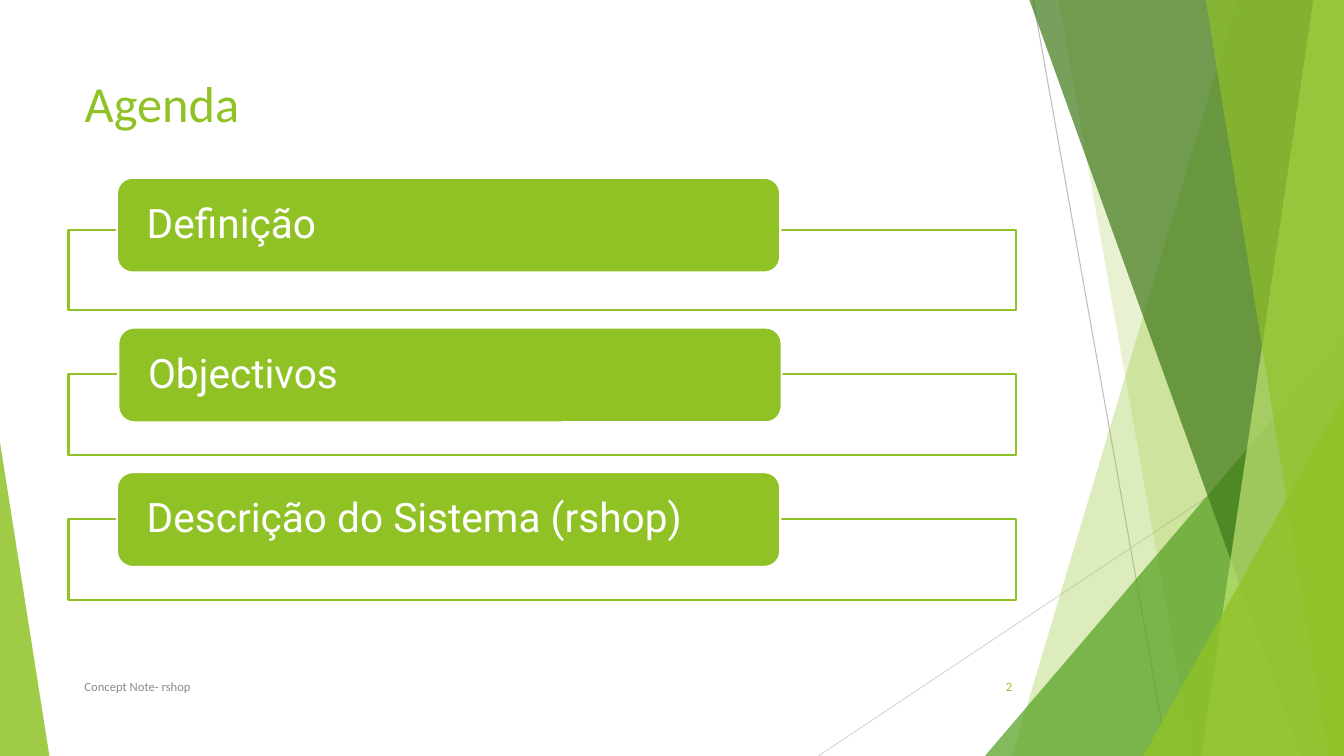
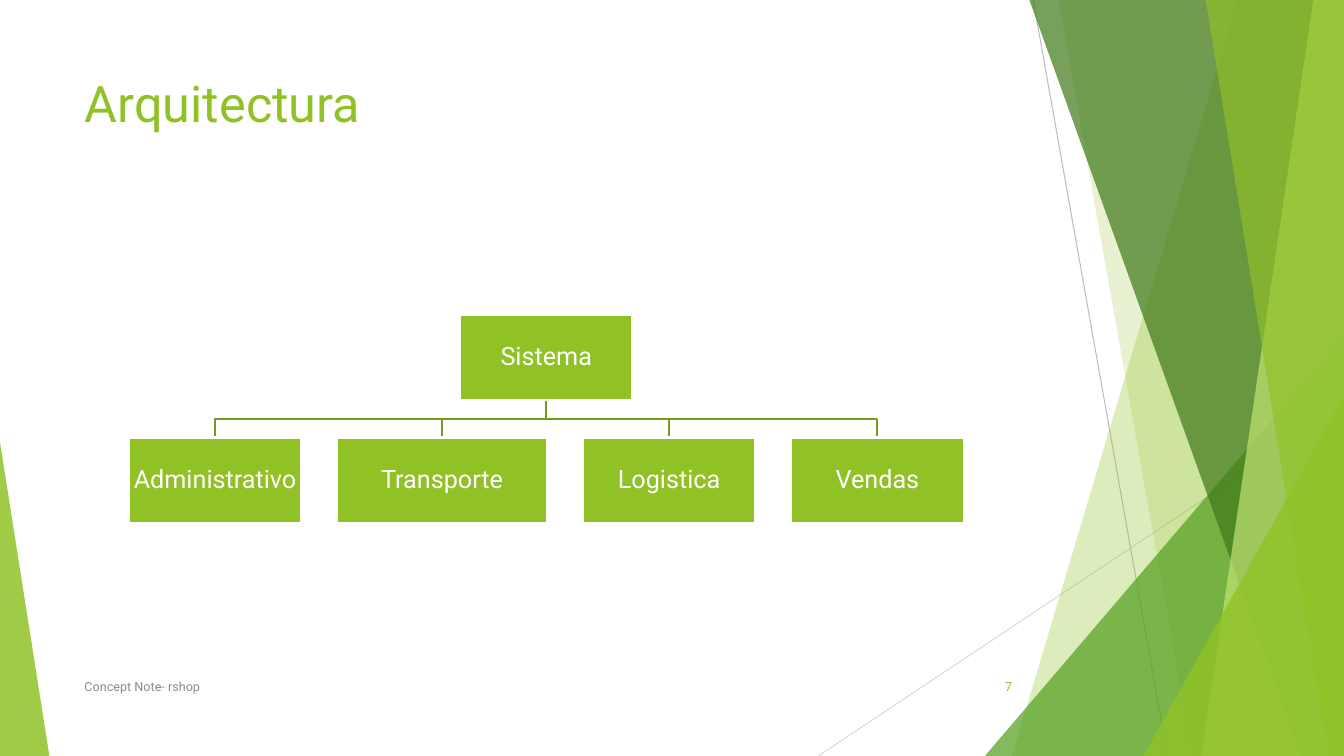
"""Build two slides: an agenda and a system architecture chart."""
from lxml import etree
from pptx import Presentation
from pptx.dml.color import RGBColor
from pptx.enum import shapes, text
from pptx.oxml import ns
from pptx.util import Pt

LIME = RGBColor(0x90, 0xC2, 0x26)
GREEN = RGBColor(0x54, 0xA0, 0x21)
DARK_GREEN = RGBColor(0x3F, 0x78, 0x19)
PALE_LIME = RGBColor(0xC0, 0xE4, 0x74)
OLIVE = RGBColor(0x73, 0x9B, 0x1E)
WHITE = RGBColor(0xFF, 0xFF, 0xFF)
GREY = RGBColor(0x8C, 0x8C, 0x8C)
MID_GREY = RGBColor(0xBF, 0xBF, 0xBF)
LIGHT_GREY = RGBColor(0xD9, 0xD9, 0xD9)

SLIDE_WIDTH, SLIDE_HEIGHT = 960, 540
MARGIN, CONTENT_WIDTH = 53.28, 676.8
BODY_FONT = "Roboto"
ALIGN = text.PP_ALIGN
SHAPE = shapes.MSO_SHAPE


def paint(shape, fill=None, opacity=100, line=None, width=1.5):
    """Set fill, opacity and outline of a shape, without shadow."""
    shape.shadow.inherit = False
    if fill is None:
        shape.fill.background()
    else:
        shape.fill.solid()
        shape.fill.fore_color.rgb = fill
        if opacity < 100:
            colour = shape.fill._xPr.find(".//" + ns.qn("a:srgbClr"))
            etree.SubElement(colour, ns.qn("a:alpha"), val=str(opacity * 1000))
    if line is None:
        shape.line.fill.background()
    else:
        shape.line.color.rgb = line
        shape.line.width = Pt(width)


def write(shape, words, size, colour, font, align=ALIGN.LEFT, spacing=None):
    """Put one formatted paragraph into a shape."""
    frame = shape.text_frame
    frame.text = words
    frame.word_wrap = True
    paragraph = frame.paragraphs[0]
    paragraph.alignment = align
    if spacing:
        paragraph.line_spacing = spacing
    style = paragraph.runs[0].font
    style.size, style.name, style.color.rgb = Pt(size), font, colour


def set_insets(shape, side, upright):
    """Set the text margins of a shape and centre its text vertically."""
    frame = shape.text_frame
    frame.margin_left = frame.margin_right = Pt(side)
    frame.margin_top = frame.margin_bottom = Pt(upright)
    frame.vertical_anchor = text.MSO_ANCHOR.MIDDLE


def add_box(slide, kind, left, top, width, height, **look):
    """Add a painted preset shape."""
    shape = slide.shapes.add_shape(kind, Pt(left), Pt(top), Pt(width), Pt(height))
    paint(shape, **look)
    return shape


def add_outline(slide, points, closed, **look):
    """Add a painted freeform through the points."""
    start, *rest = [(Pt(x), Pt(y)) for x, y in points]
    builder = slide.shapes.build_freeform(*start)
    builder.add_line_segments(rest, close=closed)
    shape = builder.convert_to_shape()
    paint(shape, **look)
    return shape


def add_hairline(slide, start, end, colour):
    """Add a thin straight line."""
    line = slide.shapes.add_connector(
        shapes.MSO_CONNECTOR.STRAIGHT, *map(Pt, start + end))
    line.line.color.rgb = colour
    line.line.width = Pt(0.75)
    etree.SubElement(line.element.spPr, ns.qn("a:effectLst"))
    return line


def add_band(slide, top_left, bottom_left, colour, opacity):
    """Add a slanted band that reaches the right edge of the slide."""
    top = -0.6
    points = [(top_left, top), (SLIDE_WIDTH, top),
              (SLIDE_WIDTH, SLIDE_HEIGHT), (bottom_left, SLIDE_HEIGHT)]
    return add_outline(slide, points, True, fill=colour, opacity=opacity)


def add_corner(slide, left, top, width, peak, colour, opacity):
    """Add a right triangle that stands on the bottom edge."""
    corner = add_box(slide, SHAPE.ISOSCELES_TRIANGLE, left, top, width,
                     SLIDE_HEIGHT - top, fill=colour, opacity=opacity)
    corner.adjustments[0] = peak
    return corner


def decorate_layout(slide):
    """Draw the green facets and move them to the layout of the slide."""
    facets = [
        add_hairline(slide, (738, 0), (834, SLIDE_HEIGHT), MID_GREY),
        add_hairline(slide, (SLIDE_WIDTH, 290), (584.5, SLIDE_HEIGHT), LIGHT_GREY),
        add_band(slide, 884.2, 722.9, LIME, 30),
        add_band(slide, 756, 851.8, LIME, 20),
        add_corner(slide, 703.5, 239.8, 256.5, 1, GREEN, 72),
        add_band(slide, 735.1, 929.5, DARK_GREEN, 70),
        add_band(slide, 938.2, 858.2, PALE_LIME, 70),
        add_band(slide, 861.1, 949, LIME, 65),
        add_corner(slide, 816.6, 283, 143.4, 1, LIME, 80),
        add_corner(slide, 0, 316, 35.3, 0, LIME, 85),
    ]
    tree = slide.slide_layout.shapes.element
    for number, facet in enumerate(facets, start=100):
        facet.element.find(".//" + ns.qn("p:cNvPr")).set("id", str(number))
        tree.append(facet.element)


def add_footer(slide, left, width, words, colour, font, align):
    """Add one footer text."""
    box = slide.shapes.add_textbox(Pt(left), Pt(475.9), Pt(width), Pt(28.8))
    write(box, words, 9, colour, font, align)
    box.text_frame.vertical_anchor = text.MSO_ANCHOR.MIDDLE


def frame_slide(slide, heading, number, font):
    """Set the title, footer and page number."""
    title = slide.shapes.title
    title.left, title.top = Pt(MARGIN), Pt(48.24)
    title.width, title.height = Pt(CONTENT_WIDTH), Pt(103.68)
    write(title, heading, 36, LIME, font)
    title.text_frame.vertical_anchor = text.MSO_ANCHOR.TOP
    add_footer(slide, MARGIN, 496, "Concept Note- rshop", GREY, font, ALIGN.LEFT)
    add_footer(slide, 676.1, 54, number, LIME, font, ALIGN.RIGHT)


def add_agenda(slide, items):
    """Add a framed row with a rounded tab for each item."""
    for row, (words, left, top) in enumerate(items):
        add_box(slide, SHAPE.RECTANGLE, 48.96, 164 + row * 103.4,
                CONTENT_WIDTH, 57.6, fill=WHITE, opacity=90, line=LIME)
        tab = add_box(slide, SHAPE.ROUNDED_RECTANGLE, left, top, 473.8, 67.7,
                      fill=LIME, line=WHITE)
        write(tab, words, 29, WHITE, BODY_FONT, spacing=0.9)
        set_insets(tab, 18, 0)


def add_unit(slide, words, left, top, width, height):
    """Add one box of the organisation chart."""
    unit = add_box(slide, SHAPE.RECTANGLE, left, top, width, height,
                   fill=LIME, line=WHITE)
    write(unit, words, 18, WHITE, BODY_FONT, ALIGN.CENTER, 0.9)
    set_insets(unit, 0.9, 0.9)


def add_organisation(slide, root, children):
    """Add a root box joined to a row of child boxes of given widths."""
    first_left, gap, root_width, height = 92.1, 25.7, 123.1, 61.2
    root_top, child_top = 224.7, 312.5
    root_bottom = root_top + height
    middle = (root_bottom + child_top) / 2
    row_width = sum(width for _, width in children) + gap * (len(children) - 1)
    axis = first_left + row_width / 2

    units, left = [(root, axis - root_width / 2, root_top, root_width)], first_left
    for words, width in children:
        centre = left + width / 2
        add_outline(slide, [(axis, root_bottom), (axis, middle),
                            (centre, middle), (centre, child_top)],
                    False, line=OLIVE)
        units.append((words, left, child_top, width))
        left += width + gap
    for unit in units:
        add_unit(slide, *unit, height)


def main():
    """Build and save the presentation."""
    presentation = Presentation()
    presentation.slide_width = Pt(SLIDE_WIDTH)
    presentation.slide_height = Pt(SLIDE_HEIGHT)
    title_only = presentation.slide_layouts[5]

    agenda = presentation.slides.add_slide(title_only)
    decorate_layout(agenda)
    frame_slide(agenda, "Agenda", "2", "Calibri")
    add_agenda(agenda, [("Definição", 83.5, 127), ("Objectivos", 84.5, 234),
                        ("Descrição do Sistema (rshop)", 83.5, 337.3)])

    architecture = presentation.slides.add_slide(title_only)
    frame_slide(architecture, "Arquitectura", "7", BODY_FONT)
    add_organisation(architecture, "Sistema", [
        ("Administrativo", 123.1), ("Transporte", 149.8),
        ("Logistica", 123.1), ("Vendas", 123.1)])

    presentation.save("out.pptx")


main()
